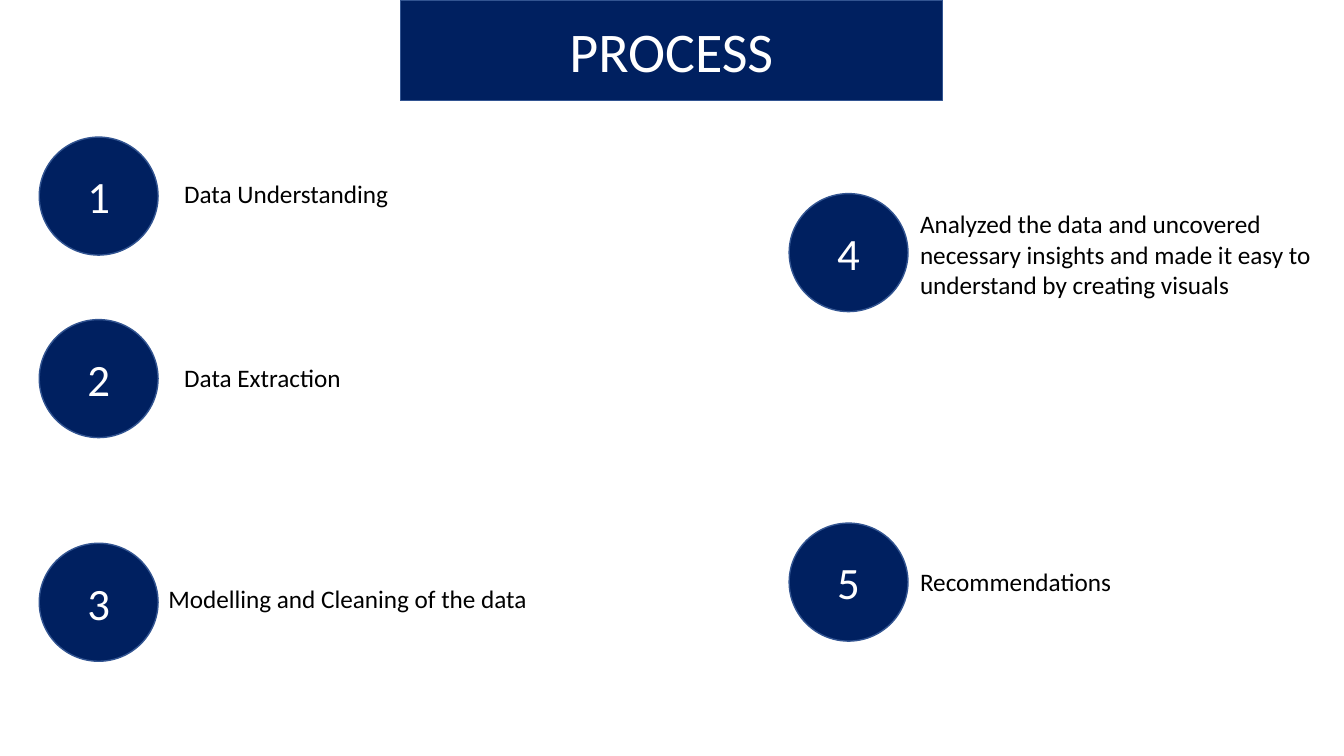
"""Build a slide that lists five numbered process steps under a title band."""
from dataclasses import dataclass

import pptx
import pptx.dml.color
import pptx.enum.shapes
import pptx.enum.text
import pptx.shapes.autoshape
import pptx.slide
import pptx.text.text
import pptx.util

NAVY = pptx.dml.color.RGBColor(0x00, 0x20, 0x60)
EDGE = pptx.dml.color.RGBColor(0x32, 0x54, 0x91)
WHITE = pptx.dml.color.RGBColor(0xFF, 0xFF, 0xFF)
BLACK = pptx.dml.color.RGBColor(0x00, 0x00, 0x00)
FONT = "Calibri"

WIDTH = pptx.util.Inches(13.33)
HEIGHT = pptx.util.Inches(7.5)
COLS, ROWS = 64, 36
LEFT, RIGHT = 1.87, 37.58
DISC_W, DISC_H = 5.66, 5.62


@dataclass(frozen=True)
class Box:
    """A place on the grid, in columns and rows."""
    col: float
    row: float
    wide: float
    high: float

    def place(self) -> tuple[int, int, int, int]:
        """Return left, top, width and height in slide units."""
        return (int(self.col * WIDTH / COLS), int(self.row * HEIGHT / ROWS),
                int(self.wide * WIDTH / COLS), int(self.high * HEIGHT / ROWS))


@dataclass(frozen=True)
class Step:
    """A numbered disc and its label."""
    col: float
    row: float
    text: str
    label: Box
    wrap: bool = False


STEPS = [
    Step(LEFT, 6.53, "Data Understanding", Box(8.3, 8.26, 10.8, 1.92)),
    Step(LEFT, 15.22, "Data Extraction", Box(8.3, 17.04, 8.5, 1.92)),
    Step(LEFT, 25.87, "Modelling and Cleaning of the data",
         Box(7.54, 27.55, 20.16, 1.92), True),
    Step(RIGHT, 9.22, "Analyzed the data and uncovered necessary insights "
         "and made it easy to understand by creating visuals",
         Box(43.34, 9.7, 20.26, 4.85), True),
    Step(RIGHT, 24.91, "Recommendations", Box(43.34, 26.74, 10.18, 1.92)),
]
TITLE = Box(19.06, 0, 25.82, 4.8)


def write(frame: pptx.text.text.TextFrame, text: str, size: int,
          color: pptx.dml.color.RGBColor) -> None:
    """Fill a frame with text in one style."""
    frame.text = text
    for run in frame.paragraphs[0].runs:
        run.font.name = FONT
        run.font.size = pptx.util.Pt(size)
        run.font.color.rgb = color


def draw_shape(slide: pptx.slide.Slide, kind: pptx.enum.shapes.MSO_SHAPE,
               box: Box, text: str, size: int) -> None:
    """Draw a navy shape with white centred text."""
    shape = slide.shapes.add_shape(kind, *box.place())
    shape.shadow.inherit = False
    shape.fill.solid()
    shape.fill.fore_color.rgb = NAVY
    shape.line.color.rgb = EDGE
    shape.line.width = pptx.util.Pt(1)
    frame = shape.text_frame
    write(frame, text, size, WHITE)
    frame.vertical_anchor = pptx.enum.text.MSO_ANCHOR.MIDDLE
    frame.paragraphs[0].alignment = pptx.enum.text.PP_ALIGN.CENTER


def draw_label(slide: pptx.slide.Slide, step: Step) -> None:
    """Draw the text beside a disc."""
    frame = slide.shapes.add_textbox(*step.label.place()).text_frame
    frame.word_wrap = step.wrap
    frame.auto_size = pptx.enum.text.MSO_AUTO_SIZE.SHAPE_TO_FIT_TEXT
    write(frame, step.text, 18, BLACK)


def main() -> None:
    """Build and save the deck."""
    deck = pptx.Presentation()
    deck.slide_width, deck.slide_height = WIDTH, HEIGHT
    slide = deck.slides.add_slide(deck.slide_layouts[6])
    shapes = pptx.enum.shapes.MSO_SHAPE
    for num, step in enumerate(STEPS, 1):
        disc = Box(step.col, step.row, DISC_W, DISC_H)
        draw_shape(slide, shapes.OVAL, disc, str(num), 32)
    for step in STEPS:
        draw_label(slide, step)
    draw_shape(slide, shapes.RECTANGLE, TITLE, "PROCESS", 40)
    deck.save("out.pptx")


if __name__ == "__main__":
    main()
